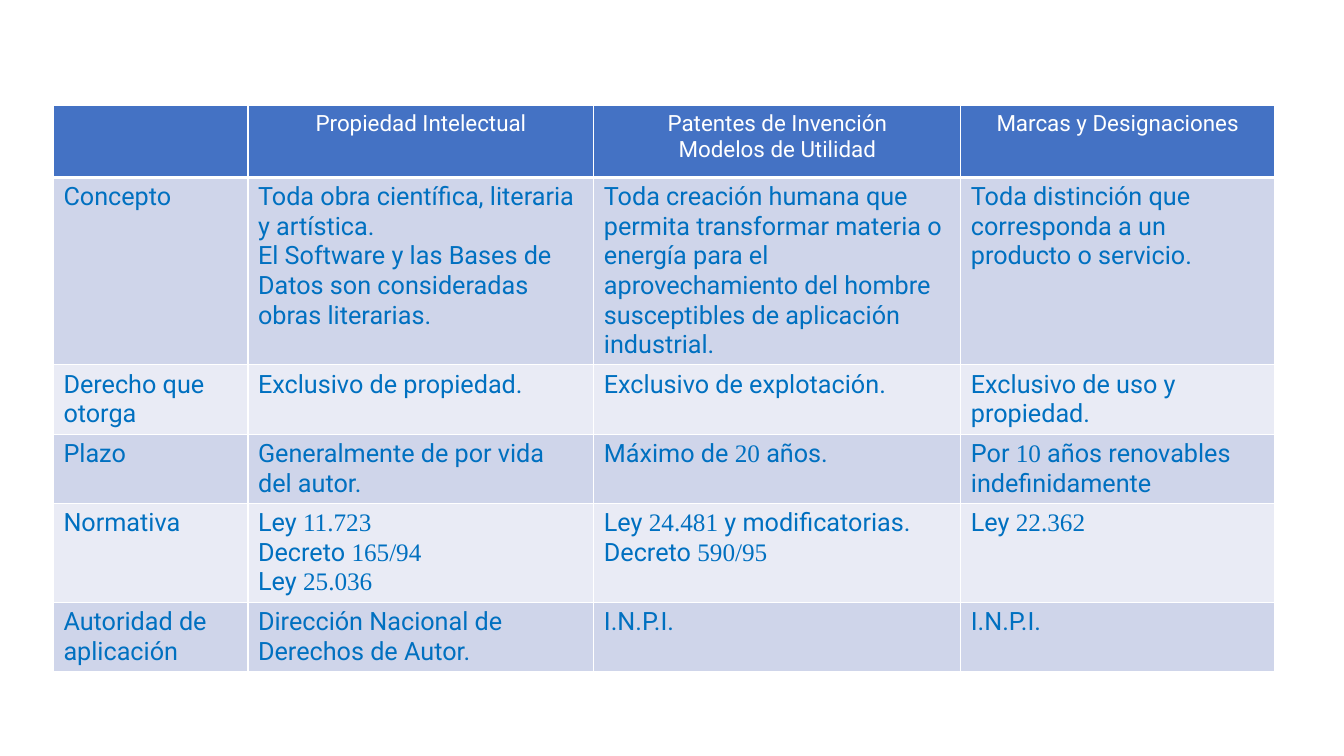
from dataclasses import dataclass

from lxml import etree
from pptx import Presentation
from pptx.dml.color import RGBColor
from pptx.enum import text
from pptx.oxml import ns
from pptx.table import _Cell as Cell
from pptx.util import Inches, Pt

WHITE = RGBColor(0xFF, 0xFF, 0xFF)
HEADER_BLUE = RGBColor(0x44, 0x72, 0xC4)
TEXT_BLUE = RGBColor(0x00, 0x70, 0xC0)
DARK_BAND = RGBColor(0xCF, 0xD5, 0xEA)
LIGHT_BAND = RGBColor(0xE9, 0xEB, 0xF5)

TEXT_FONT = "Roboto"
NUMBER_FONT = "Times New Roman"

COLUMN_WIDTHS = (1.93, 3.43, 3.64, 3.11)
ROW_HEIGHTS = (0.71, 0.45, 0.45, 0.45, 0.45, 0.47)

# Each line of a cell is a paragraph; bars enclose the numbers.
ROWS = (
    ("", "Propiedad Intelectual",
     "Patentes de Invención\nModelos de Utilidad", "Marcas y Designaciones"),
    ("Concepto",
     "Toda obra científica, literaria y artística.\n"
     "El Software y las Bases de Datos son consideradas obras literarias.",
     "Toda creación humana que permita transformar materia o energía para el "
     "aprovechamiento del hombre susceptibles de aplicación industrial.",
     "Toda distinción que corresponda a un producto o servicio."),
    ("Derecho que otorga", "Exclusivo de propiedad.",
     "Exclusivo de explotación.", "Exclusivo de uso y propiedad."),
    ("Plazo", "Generalmente de por vida del autor.",
     "Máximo de |20| años.", "Por |10| años renovables indefinidamente"),
    ("Normativa", "Ley |11.723|\nDecreto |165/94|\nLey |25.036|",
     "Ley |24.481| y modificatorias.\nDecreto |590/95|", "Ley |22.362|"),
    ("Autoridad de aplicación", "Dirección Nacional de Derechos de Autor.",
     "I.N.P.I.", "I.N.P.I."),
)


@dataclass(frozen=True)
class CellStyle:
    fill: RGBColor
    color: RGBColor
    size: int
    alignment: text.PP_ALIGN
    bottom_border: int


HEADER = CellStyle(HEADER_BLUE, WHITE, 16, text.PP_ALIGN.CENTER, 3)
DARK = CellStyle(DARK_BAND, TEXT_BLUE, 18, text.PP_ALIGN.LEFT, 1)
LIGHT = CellStyle(LIGHT_BAND, TEXT_BLUE, 18, text.PP_ALIGN.LEFT, 1)


def style_for(row_index: int) -> CellStyle:
    if row_index == 0:
        return HEADER
    return DARK if row_index % 2 else LIGHT


def add_borders(cell: Cell, bottom_width: int) -> None:
    properties = cell._tc.get_or_add_tcPr()
    widths = {"a:lnL": 1, "a:lnR": 1, "a:lnT": 1, "a:lnB": bottom_width}
    for position, (tag, width) in enumerate(widths.items()):
        line = etree.Element(ns.qn(tag), w=str(Pt(width)))
        fill = etree.SubElement(line, ns.qn("a:solidFill"))
        etree.SubElement(fill, ns.qn("a:srgbClr"), val=str(WHITE))
        properties.insert(position, line)


def fill_cell(cell: Cell, content: str, style: CellStyle) -> None:
    cell.fill.solid()
    cell.fill.fore_color.rgb = style.fill
    add_borders(cell, style.bottom_border)
    for index, line in enumerate(content.split("\n")):
        frame = cell.text_frame
        paragraph = frame.add_paragraph() if index else frame.paragraphs[0]
        paragraph.alignment = style.alignment
        paragraph.font.size = Pt(style.size)
        paragraph.font.color.rgb = style.color
        paragraph.font.name = TEXT_FONT
        for part, words in enumerate(line.split("|")):
            if words:
                run = paragraph.add_run()
                run.text = words
                if part % 2:
                    run.font.name = NUMBER_FONT


def main() -> None:
    presentation = Presentation()
    presentation.slide_width = Inches(13.33)
    presentation.slide_height = Inches(7.5)
    slide = presentation.slides.add_slide(presentation.slide_layouts[6])

    table_frame = slide.shapes.add_table(
        len(ROWS), len(COLUMN_WIDTHS),
        Inches(0.53), Inches(1.05), Inches(12.1), Inches(5.41))
    table = table_frame.table
    table.first_row = False
    table.horz_banding = False
    for column, width in zip(table.columns, COLUMN_WIDTHS):
        column.width = Inches(width)
    for row, height in zip(table.rows, ROW_HEIGHTS):
        row.height = Inches(height)
    table_frame.height = Inches(5.41)

    for row_index, contents in enumerate(ROWS):
        for column_index, content in enumerate(contents):
            fill_cell(table.cell(row_index, column_index), content,
                      style_for(row_index))

    presentation.save("out.pptx")


if __name__ == "__main__":
    main()
